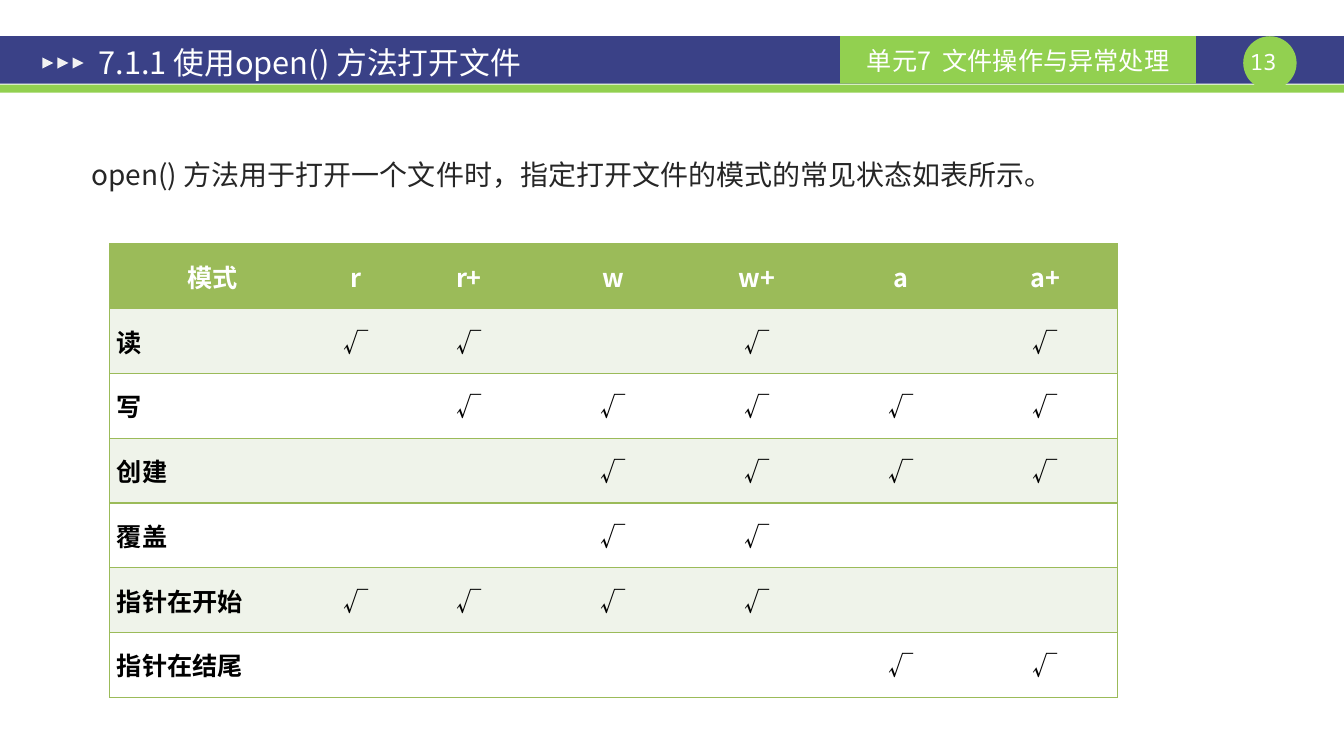
from dataclasses import dataclass

from lxml import etree
from pptx import Presentation
from pptx.dml.color import RGBColor
from pptx.enum.shapes import MSO_SHAPE
from pptx.enum.text import MSO_ANCHOR, PP_ALIGN
from pptx.oxml.ns import qn
from pptx.util import Inches, Pt

RECT, OVAL, TRIANGLE = MSO_SHAPE.RECTANGLE, MSO_SHAPE.OVAL, MSO_SHAPE.ISOSCELES_TRIANGLE
LEFT, CENTER = PP_ALIGN.LEFT, PP_ALIGN.CENTER
TOP, MIDDLE = MSO_ANCHOR.TOP, MSO_ANCHOR.MIDDLE

TITLE = "7.1.1 使用open() 方法打开文件"
UNIT = "单元7  文件操作与异常处理"
PAGE_NUMBER = "13 "
INTRO = "open() 方法用于打开一个文件时，指定打开文件的模式的常见状态如表所示。"
MODES = ["r", "r+", "w", "w+", "a", "a+"]
ABILITIES = [
    ("读", {"r", "r+", "w+", "a+"}),
    ("写", {"r+", "w", "w+", "a", "a+"}),
    ("创建", {"w", "w+", "a", "a+"}),
    ("覆盖", {"w", "w+"}),
    ("指针在开始", {"r", "r+", "w", "w+"}),
    ("指针在结尾", {"a", "a+"}),
]
COLUMN_WIDTHS = [2.04, 0.81] + [1.43] * 5
TABLE_LEFT, TABLE_TOP, TABLE_HEIGHT = 1.09, 2.42, 4.5
BAND_TOP, BAND_HEIGHT = 0.36, 0.47
PLAIN_TABLE_STYLE = "{2D5ABB26-0587-4C30-8999-92F81FD0307C}"


@dataclass(frozen=True)
class Theme:
    navy: str = "3A4187"
    lime: str = "92D050"
    arrow: str = "F2F2F2"
    white: str = "FFFFFF"
    ink: str = "262626"
    black: str = "000000"
    table_green: str = "9BBB59"
    table_tint: str = "EFF3EA"
    font: str = "Noto Sans CJK SC"
    number_font: str = "Noto Sans Mono"
    title_size: int = 22
    intro_size: int = 20
    unit_size: int = 18
    table_size: int = 18
    number_size: int = 16


THEME = Theme()


def write(frame, text, size, color, align=LEFT, bold=False, font=THEME.font):
    paragraph = frame.paragraphs[0]
    paragraph.alignment = align
    run = paragraph.add_run()
    run.text = text
    for name, value in {"size": Pt(size), "bold": bold, "name": font}.items():
        setattr(run.font, name, value)
    run.font.color.rgb = RGBColor.from_string(color)
    east_asian = etree.SubElement(run._r.get_or_add_rPr(), qn("a:ea"))
    east_asian.set("typeface", font)
    return paragraph


def set_frame(frame, anchor, side, edge):
    layout = {
        "word_wrap": True, "vertical_anchor": anchor,
        "margin_left": Inches(side), "margin_right": Inches(side),
        "margin_top": Inches(edge), "margin_bottom": Inches(edge),
    }
    for name, value in layout.items():
        setattr(frame, name, value)


def add_block(slide, kind, box, color):
    block = slide.shapes.add_shape(kind, *map(Inches, box))
    block.shadow.inherit = False
    block.fill.solid()
    block.fill.fore_color.rgb = RGBColor.from_string(color)
    block.line.fill.background()
    return block


def add_text(slide, box, side, edge):
    frame = slide.shapes.add_textbox(*map(Inches, box)).text_frame
    set_frame(frame, TOP, side, edge)
    return frame


def add_header(slide, page_width):
    add_block(slide, RECT, (0, BAND_TOP, page_width, BAND_HEIGHT), THEME.navy)
    add_block(slide, RECT, (0, 0.84, page_width, 0.08), THEME.lime)
    add_block(slide, OVAL, (12.34, BAND_TOP, 0.53, 0.53), THEME.lime)
    number = add_text(slide, (12.34, 0.48, 0.53, 0.27), 0, 0)
    write(number, PAGE_NUMBER, THEME.number_size, THEME.white, CENTER, font=THEME.number_font)
    unit = add_block(slide, RECT, (8.34, BAND_TOP, 3.53, BAND_HEIGHT), THEME.lime).text_frame
    set_frame(unit, MIDDLE, 0.1, 0.05)
    write(unit, UNIT, THEME.unit_size, THEME.white, CENTER)
    for i in range(3):
        add_block(slide, TRIANGLE, (0.42 + 0.15 * i, 0.57, 0.11, 0.11), THEME.arrow).rotation = 90

    title = slide.shapes.title
    title.left, title.top, title.width, title.height = map(Inches, (0.85, 0.4, 7.2, 0.44))
    set_frame(title.text_frame, MIDDLE, 0.13, 0.07)
    write(title.text_frame, TITLE, THEME.title_size, THEME.white)
    # The title must lie in front of the band
    title._element.getparent().append(title._element)


def add_intro(slide):
    paragraph = write(add_text(slide, (0.31, 1.41, 12.11, 0.5), 0.1, 0.05),
                      INTRO, THEME.intro_size, THEME.ink)
    paragraph.line_spacing = 1.32
    paragraph._p.get_or_add_pPr().set("indent", str(Inches(0.5)))


def format_cell(cell, color, sides):
    """Fill a cell and draw green borders on the given sides, in L, R, T, B order."""
    layout = {
        "vertical_anchor": MIDDLE, "margin_top": 0, "margin_bottom": 0,
        "margin_left": Inches(0.07), "margin_right": Inches(0.07),
    }
    for name, value in layout.items():
        setattr(cell, name, value)
    cell.fill.solid()
    cell.fill.fore_color.rgb = RGBColor.from_string(color)
    properties = cell._tc.get_or_add_tcPr()
    for position, side in enumerate(sides):
        border = etree.Element(qn(f"a:ln{side}"), w=str(Pt(1)))
        fill = etree.SubElement(border, qn("a:solidFill"))
        etree.SubElement(fill, qn("a:srgbClr"), val=THEME.table_green)
        properties.insert(position, border)


def add_mode_table(slide):
    rows = [["模式"] + MODES]
    rows += [[name] + ["√" if mode in allowed else "" for mode in MODES]
             for name, allowed in ABILITIES]
    last = len(MODES)
    frame = slide.shapes.add_table(
        len(rows), last + 1, Inches(TABLE_LEFT), Inches(TABLE_TOP),
        Inches(sum(COLUMN_WIDTHS)), Inches(TABLE_HEIGHT))
    table = frame.table
    table._tbl.tblPr.find(qn("a:tableStyleId")).text = PLAIN_TABLE_STYLE
    for column, width in zip(table.columns, COLUMN_WIDTHS):
        column.width = Inches(width)
    for r, row in enumerate(rows):
        table.rows[r].height = Inches(TABLE_HEIGHT / len(rows))
        header = r == 0
        band = THEME.table_green if header else THEME.table_tint if r % 2 else THEME.white
        ink = THEME.white if header else THEME.black
        for c, text in enumerate(row):
            cell = table.cell(r, c)
            outer = "L" if c == 0 else "R" if c == last else ""
            format_cell(cell, band, outer + "TB")
            if text:
                align = CENTER if header or c else LEFT
                write(cell.text_frame, text, THEME.table_size, ink, align, bold=header or c == 0)


def main():
    deck = Presentation()
    page_width = 13.34
    deck.slide_width, deck.slide_height = Inches(page_width), Inches(7.5)
    slide = deck.slides.add_slide(deck.slide_layouts[5])
    add_header(slide, page_width)
    add_intro(slide)
    add_mode_table(slide)
    deck.save("out.pptx")


if __name__ == "__main__":
    main()
